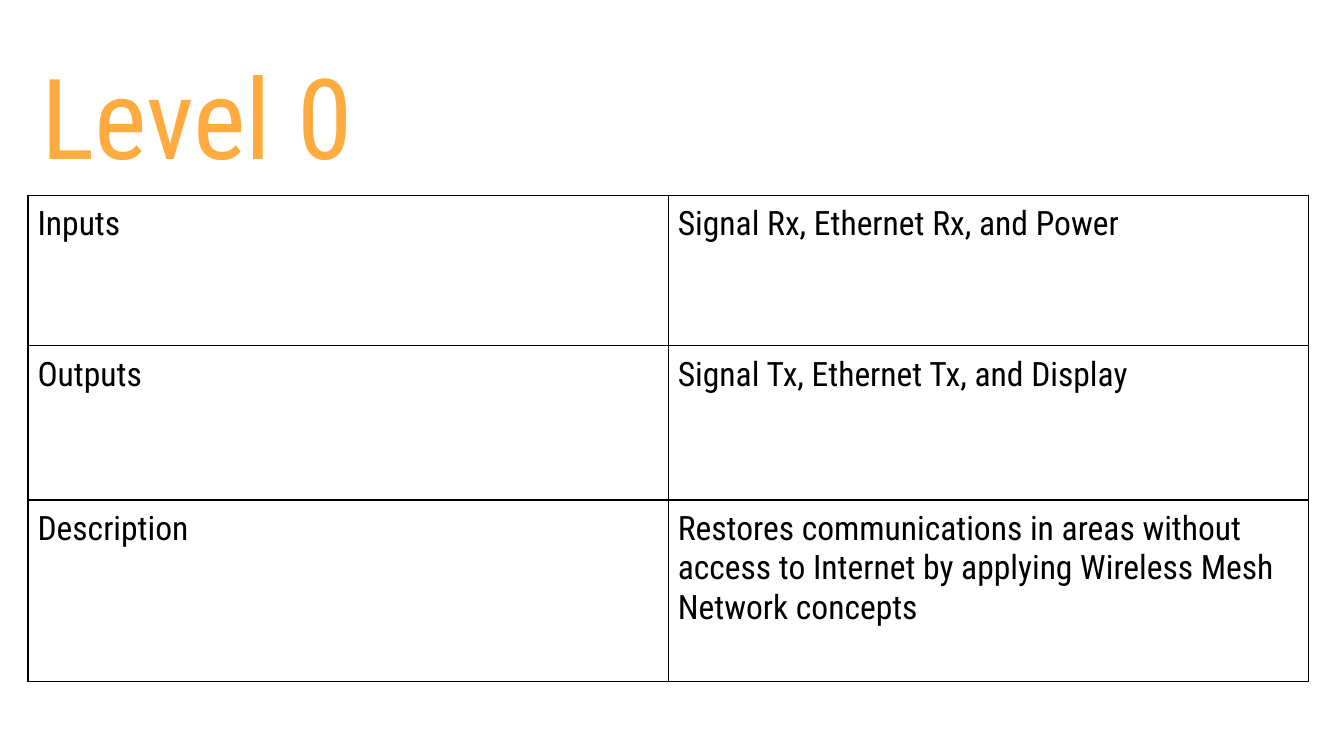
from lxml import etree
from pptx import Presentation
from pptx import util as u
from pptx.dml.color import RGBColor
from pptx.enum import text
from pptx.oxml import ns

FONT = "Roboto Condensed"
ORANGE, BLACK = "FFAB40", "000000"
ROWS = [
    ("Inputs", "Signal Rx, Ethernet Rx, and Power"),
    ("Outputs", "Signal Tx, Ethernet Tx, and Display"),
    ("Description", "Restores communications in areas without access to Internet "
                    "by applying Wireless Mesh Network concepts"),
]
ROW_HEIGHTS = [2.84, 2.92, 3.43]


def colour(value):
    return RGBColor.from_string(value)


def write(frame, words, size, fill, anchor=text.MSO_ANCHOR.TOP):
    frame.word_wrap = True
    frame.vertical_anchor = anchor
    span = frame.paragraphs[0].add_run()
    span.text = words
    span.font.name = FONT
    span.font.size = u.Pt(size)
    span.font.color.rgb = colour(fill)


def add_borders(cell, fill, width):
    properties = cell._tc.get_or_add_tcPr()
    for index, side in enumerate(("lnL", "lnR", "lnT", "lnB")):
        line = etree.Element(ns.qn(f"a:{side}"), w=str(u.Pt(width)))
        solid = etree.SubElement(line, ns.qn("a:solidFill"))
        etree.SubElement(solid, ns.qn("a:srgbClr"), val=fill)
        properties.insert(index, line)


def add_title(page, words, left, top, width, height):
    box = page.shapes.add_textbox(u.Cm(left), u.Cm(top), u.Cm(width), u.Cm(height))
    frame = box.text_frame
    frame.margin_left = frame.margin_right = u.Cm(0.25)
    frame.margin_top = frame.margin_bottom = u.Cm(0.25)
    write(frame, words, 60, ORANGE, text.MSO_ANCHOR.BOTTOM)


def add_level_table(page, rows, left, top, width, heights):
    columns = len(rows[0])
    table = page.shapes.add_table(len(rows), columns, u.Cm(left), u.Cm(top),
                                  u.Cm(width), u.Cm(sum(heights))).table
    table.first_row = table.horz_banding = False
    for column in table.columns:
        column.width = u.Cm(width / columns)
    for row, height, entries in zip(table.rows, heights, rows):
        row.height = u.Cm(height)
        for cell, words in zip(row.cells, entries):
            cell.margin_left = cell.margin_right = u.Cm(0.18)
            cell.margin_top = cell.margin_bottom = u.Cm(0.18)
            cell.fill.background()
            write(cell.text_frame, words, 18, BLACK)
            add_borders(cell, BLACK, 0.75)


def main():
    deck = Presentation()
    deck.slide_width, deck.slide_height = u.Cm(25.4), u.Cm(14.29)
    page = deck.slides.add_slide(deck.slide_layouts[6])
    add_title(page, "Level 0", 0.53, 0.79, 22.53, 2.9)
    add_level_table(page, ROWS, 0.53, 3.69, 24.2, ROW_HEIGHTS)
    deck.save("out.pptx")


if __name__ == "__main__":
    main()
